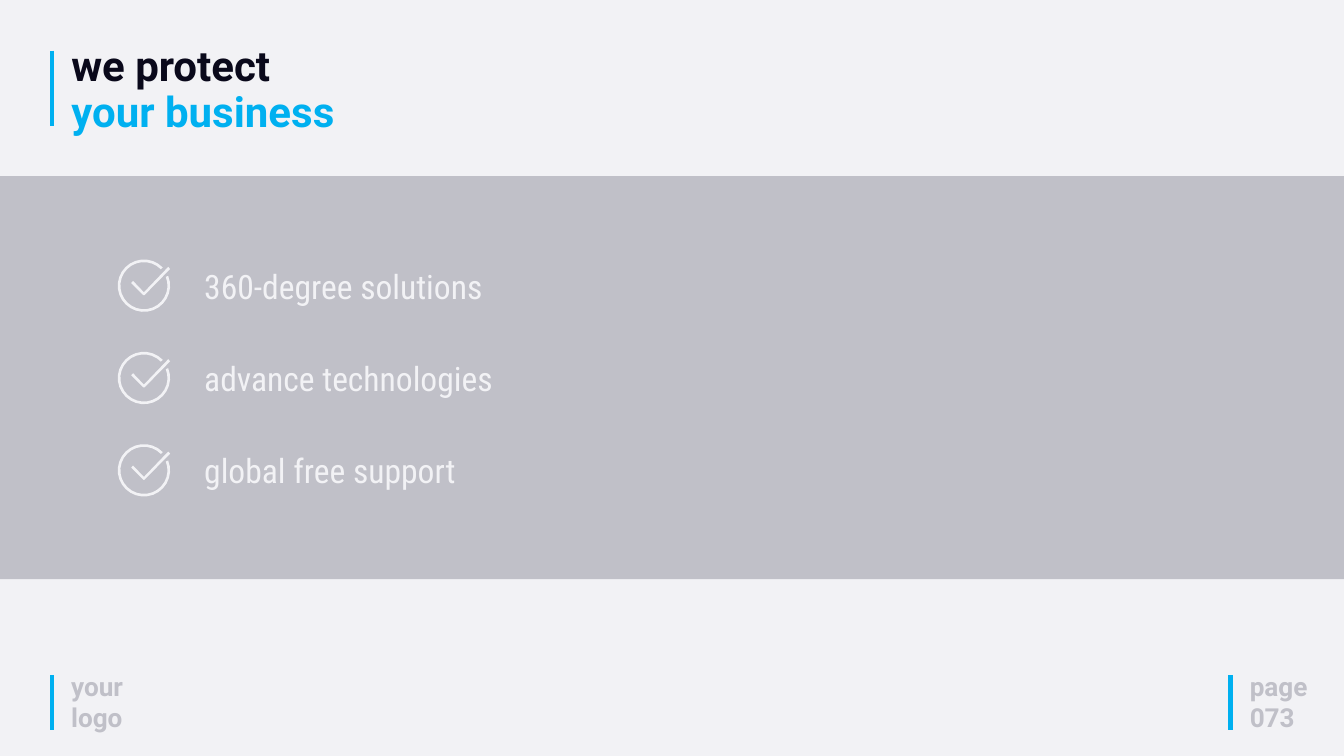
from math import cos, radians, sin

from lxml.etree import SubElement
from pptx import Presentation
from pptx.dml.color import RGBColor
from pptx.enum.shapes import MSO_CONNECTOR, MSO_SHAPE
from pptx.enum.text import MSO_ANCHOR, MSO_AUTO_SIZE, PP_ALIGN
from pptx.oxml.ns import qn
from pptx.util import Cm, Pt

COLORS = {"paper": "F2F2F5", "accent": "00B0F0", "ink": "0A091B", "muted": "C0C0C8"}
BENEFITS = ["360-degree solutions", "advance technologies", "global free support"]
SLIDE_WIDTH, SLIDE_HEIGHT = 50.8, 28.58
TEXT_GAP = 0.48  # from an accent bar to its text box
TICK = [(0.99, 1.24), (0.58, 0.81), (0.51, 0.89), (0.97, 1.35),
        (1.01, 1.35), (1.98, 0.36), (1.91, 0.28)]


def color(name):
    return RGBColor.from_string(COLORS[name])


def set_font(font, name, size, color_name, bold=False):
    font.name, font.size, font.bold = name, Pt(size), bold
    font.color.rgb = color(color_name)


def fill_plain(shape, color_name):
    shape.shadow.inherit = False
    shape.fill.solid()
    shape.fill.fore_color.rgb = color(color_name)
    shape.line.fill.background()


def add_accent_bar(shapes, left, top, height):
    bar = shapes.add_connector(MSO_CONNECTOR.STRAIGHT, Cm(left), Cm(top),
                               Cm(left), Cm(top + height))
    bar.line.color.rgb = color("accent")
    bar.line.width = Pt(5)
    SubElement(bar._element.spPr, qn("a:effectLst"))


def add_text(shapes, left, top, width, height, lines, font):
    """Add a text box with one paragraph per line; font holds set_font arguments."""
    box = shapes.add_textbox(Cm(left), Cm(top), Cm(width), Cm(height))
    frame = box.text_frame
    frame.word_wrap = True
    frame.auto_size = MSO_AUTO_SIZE.SHAPE_TO_FIT_TEXT
    frame.text = "\n".join(lines)
    for paragraph in frame.paragraphs:
        set_font(paragraph.font, *font)


def add_title(slide, left, top, width, height):
    add_accent_bar(slide.shapes, left, top + 0.33, 2.87)
    title = slide.shapes.title
    title.left, title.top = Cm(left + TEXT_GAP), Cm(top)
    title.width, title.height = Cm(width), Cm(height)
    frame = title.text_frame
    frame.word_wrap = True
    frame.auto_size = MSO_AUTO_SIZE.SHAPE_TO_FIT_TEXT
    frame.vertical_anchor = MSO_ANCHOR.MIDDLE
    paragraph = frame.paragraphs[0]
    paragraph.alignment = PP_ALIGN.LEFT
    paragraph.line_spacing = 0.9
    first = paragraph.add_run()
    first.text = "we protect"
    paragraph.add_line_break()
    second = paragraph.add_run()
    second.text = "your business"
    set_font(first.font, "Roboto", 45, "ink", True)
    set_font(second.font, "Roboto", 45, "accent", True)


def add_check_icon(shapes, left, top):
    """Draw a tick that breaks through the upper right of a ring."""
    def arc(radius, angles):
        return [(0.99 + radius * cos(radians(a)), 0.99 + radius * sin(radians(a)))
                for a in angles]

    angles = range(-22, 317, 13)
    ring = arc(0.99, angles) + arc(0.89, reversed(angles))
    tick, ring = ([(Cm(x), Cm(y)) for x, y in part] for part in (TICK, ring))
    builder = shapes.build_freeform(*tick[0])
    builder.add_line_segments(tick[1:])
    builder.move_to(*ring[0])
    builder.add_line_segments(ring[1:])
    fill_plain(builder.convert_to_shape(Cm(left), Cm(top)), "paper")


def add_benefits(slide, top, height):
    band = slide.shapes.add_shape(MSO_SHAPE.RECTANGLE, 0, Cm(top),
                                  Cm(SLIDE_WIDTH), Cm(height))
    fill_plain(band, "muted")
    for row, benefit in enumerate(BENEFITS):
        row_top = top + 3.15 + row * 3.49
        group = slide.shapes.add_group_shape()
        add_check_icon(group.shapes, 4.45, row_top)
        add_text(group.shapes, 7.47, row_top + 0.1, 12.17, 1.8, [benefit],
                 ("Roboto Condensed", 36, "paper"))


def add_footer_label(slide, left, top, width, lines):
    add_accent_bar(slide.shapes, left, top + 0.31, 2.07)
    add_text(slide.shapes, left + TEXT_GAP, top, width, 2.64, lines,
             ("Roboto", 28, "muted", True))


def main():
    presentation = Presentation()
    presentation.slide_width = Cm(SLIDE_WIDTH)
    presentation.slide_height = Cm(SLIDE_HEIGHT)
    slide = presentation.slides.add_slide(presentation.slide_layouts[5])
    slide.background.fill.solid()
    slide.background.fill.fore_color.rgb = color("paper")
    add_title(slide, 1.96, 1.58, 15.14, 3.71)
    add_benefits(slide, 6.66, 15.24)
    add_footer_label(slide, 1.96, 25.21, 3.02, ["your logo"])
    add_footer_label(slide, 46.51, 25.21, 3.8, ["page", "073"])
    presentation.save("out.pptx")


if __name__ == "__main__":
    main()
